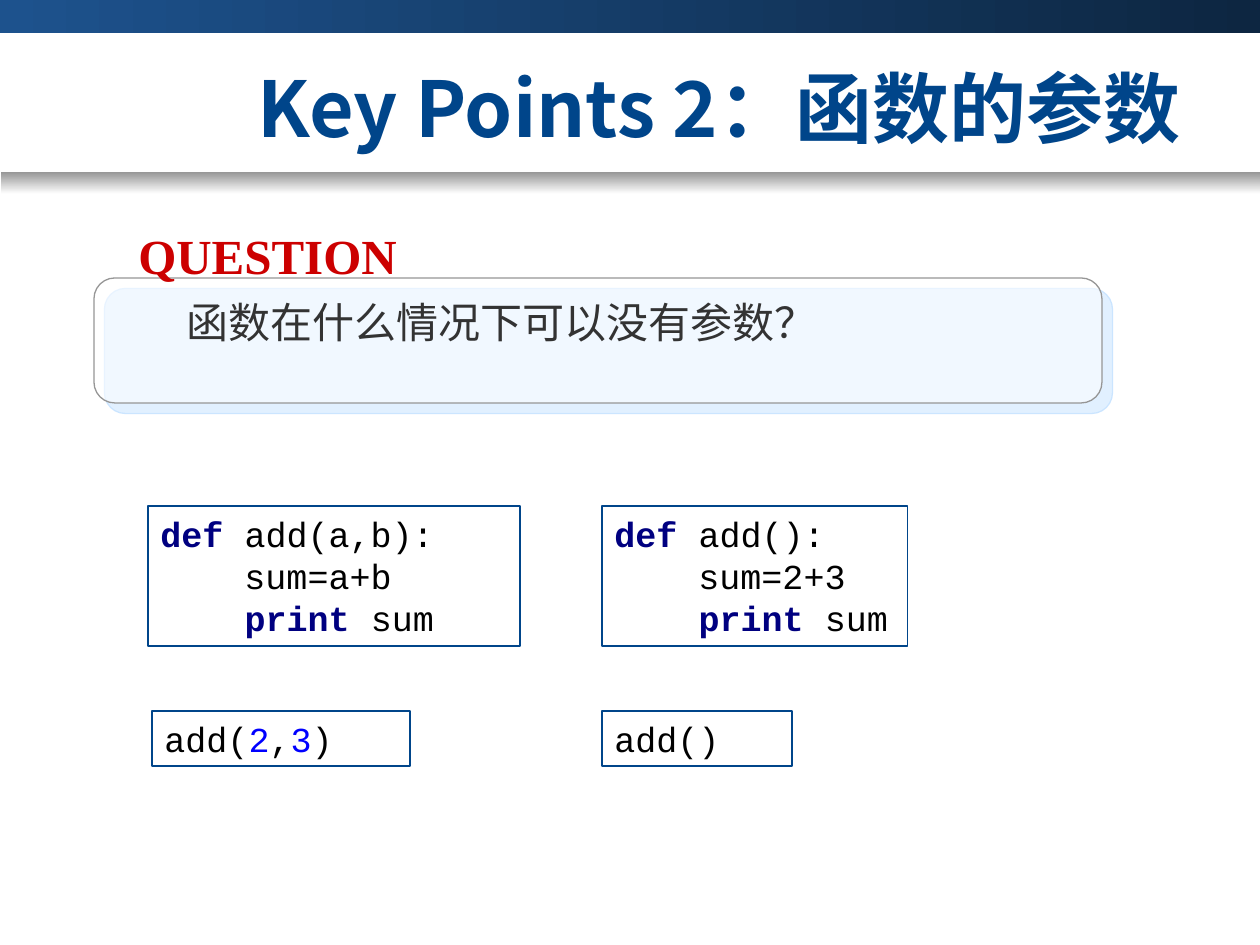
from dataclasses import dataclass

import lxml.etree
import pptx
import pptx.dml.color
import pptx.enum.shapes
import pptx.enum.text
import pptx.oxml.ns
import pptx.util

PX = 914400 // 126
COLORS = {
    "navy": "00458A", "bar_start": "1D528D", "bar_end": "0D2641",
    "grey": "969696", "white": "FFFFFF", "red": "CC0000", "body": "333333",
    "black": "000000", "keyword": "000080", "number": "0000FF", "glow": "99CCFF",
}
SHAPES = pptx.enum.shapes.MSO_SHAPE
ALIGN = pptx.enum.text.PP_ALIGN
ANCHOR = pptx.enum.text.MSO_ANCHOR


@dataclass(frozen=True)
class Area:
    left: int
    top: int
    width: int
    height: int

    def emu(self) -> list[int]:
        return [n * PX for n in (self.left, self.top, self.width, self.height)]


@dataclass(frozen=True)
class Span:
    text: str
    color: str = "black"
    bold: bool = False


@dataclass(frozen=True)
class CodeBox:
    area: Area
    lines: list[list[Span]]


def rgb(name: str) -> pptx.dml.color.RGBColor:
    return pptx.dml.color.RGBColor.from_string(COLORS[name])


def add_span(para, text: str, *, font: str, size: int, color: str, bold: bool = False) -> None:
    span = para.add_run()
    span.text = text
    span.font.name, span.font.size, span.font.bold = font, pptx.util.Pt(size), bold
    span.font.color.rgb = rgb(color)
    east_asian = lxml.etree.Element(pptx.oxml.ns.qn("a:ea"), typeface=font)
    span.font._element.find(pptx.oxml.ns.qn("a:latin")).addnext(east_asian)


def add_label(page, area: Area, text: str, *, align=ALIGN.LEFT, anchor=ANCHOR.TOP,
              spacing: float = 1.0, **style) -> None:
    frame = page.shapes.add_textbox(*area.emu()).text_frame
    frame.word_wrap = True
    frame.vertical_anchor = anchor
    para = frame.paragraphs[0]
    para.alignment, para.line_spacing = align, spacing
    add_span(para, text, **style)


def add_gradient(page, area: Area, start: str, end: str, angle: int) -> None:
    box = page.shapes.add_shape(SHAPES.RECTANGLE, *area.emu())
    box.shadow.inherit = False
    box.line.fill.background()
    box.fill.gradient()
    box.fill.gradient_angle = angle
    for stop, color in zip(box.fill.gradient_stops, (start, end)):
        stop.color.rgb = rgb(color)


def add_panel(page, kind, area: Area, line: str):
    box = page.shapes.add_shape(kind, *area.emu())
    box.shadow.inherit = False
    box.fill.solid()
    box.fill.fore_color.rgb = rgb("white")
    box.line.color.rgb = rgb(line)
    box.line.width = pptx.util.Pt(0.75)
    return box


def add_alpha(color_element, percent: int) -> None:
    lxml.etree.SubElement(color_element, pptx.oxml.ns.qn("a:alpha"), val=str(percent * 1000))


def add_question_panel(page, area: Area) -> None:
    """Translucent rounded panel with a light blue offset shadow."""
    qn = pptx.oxml.ns.qn
    box = add_panel(page, SHAPES.FLOWCHART_ALTERNATE_PROCESS, area, "grey")
    properties = box._element.spPr
    add_alpha(properties.find(qn("a:solidFill"))[0], 56)
    shadow = lxml.etree.SubElement(
        properties.find(qn("a:effectLst")), qn("a:outerShdw"),
        dist=str(pptx.util.Pt(8.5)), dir=str(45 * 60000), algn="ctr", rotWithShape="0")
    add_alpha(lxml.etree.SubElement(shadow, qn("a:srgbClr"), val=COLORS["glow"]), 50)


def add_code(page, code: CodeBox) -> None:
    frame = add_panel(page, SHAPES.RECTANGLE, code.area, "navy").text_frame
    frame.word_wrap = True
    frame.vertical_anchor = ANCHOR.MIDDLE
    para = frame.paragraphs[0]
    para.alignment = ALIGN.LEFT
    for index, line in enumerate(code.lines):
        if index:
            para.add_line_break()
        for span in line:
            add_span(para, span.text, font="Courier New", size=20,
                     color=span.color, bold=span.bold)


def definition(signature: str, total: str) -> list[list[Span]]:
    return [
        [Span("def ", "keyword", True), Span(signature)],
        [Span(f"    sum={total}")],
        [Span("    "), Span("print ", "keyword", True), Span("sum")],
    ]


CODE_BOXES = [
    CodeBox(Area(148, 506, 372, 140), definition("add(a,b):", "a+b")),
    CodeBox(Area(602, 506, 306, 140), definition("add():", "2+3")),
    CodeBox(Area(152, 711, 258, 55),
            [[Span("add("), Span("2", "number"), Span(","), Span("3", "number"), Span(")")]]),
    CodeBox(Area(602, 711, 190, 55), [[Span("add()")]]),
]


def main() -> None:
    deck = pptx.Presentation()
    deck.slide_width, deck.slide_height = 1260 * PX, 945 * PX
    page = deck.slides.add_slide(deck.slide_layouts[6])

    # Header bands and title
    add_gradient(page, Area(0, 0, 1260, 33), "bar_start", "bar_end", 0)
    add_gradient(page, Area(1, 172, 1259, 22), "grey", "white", 270)
    add_label(page, Area(184, 28, 1071, 158), "Key Points 2：函数的参数",
              align=ALIGN.CENTER, anchor=ANCHOR.MIDDLE,
              font="Noto Sans CJK KR", size=44, color="navy", bold=True)

    # Question
    add_question_panel(page, Area(94, 278, 1008, 125))
    add_label(page, Area(126, 231, 364, 69), "QUESTION", spacing=0.8,
              font="Times New Roman", size=28, color="red", bold=True)
    add_label(page, Area(174, 290, 853, 74), "函数在什么情况下可以没有参数？",
              font="Noto Sans CJK SC", size=24, color="body")

    # Function definitions and their calls
    for code in CODE_BOXES:
        add_code(page, code)

    deck.save("out.pptx")


if __name__ == "__main__":
    main()
